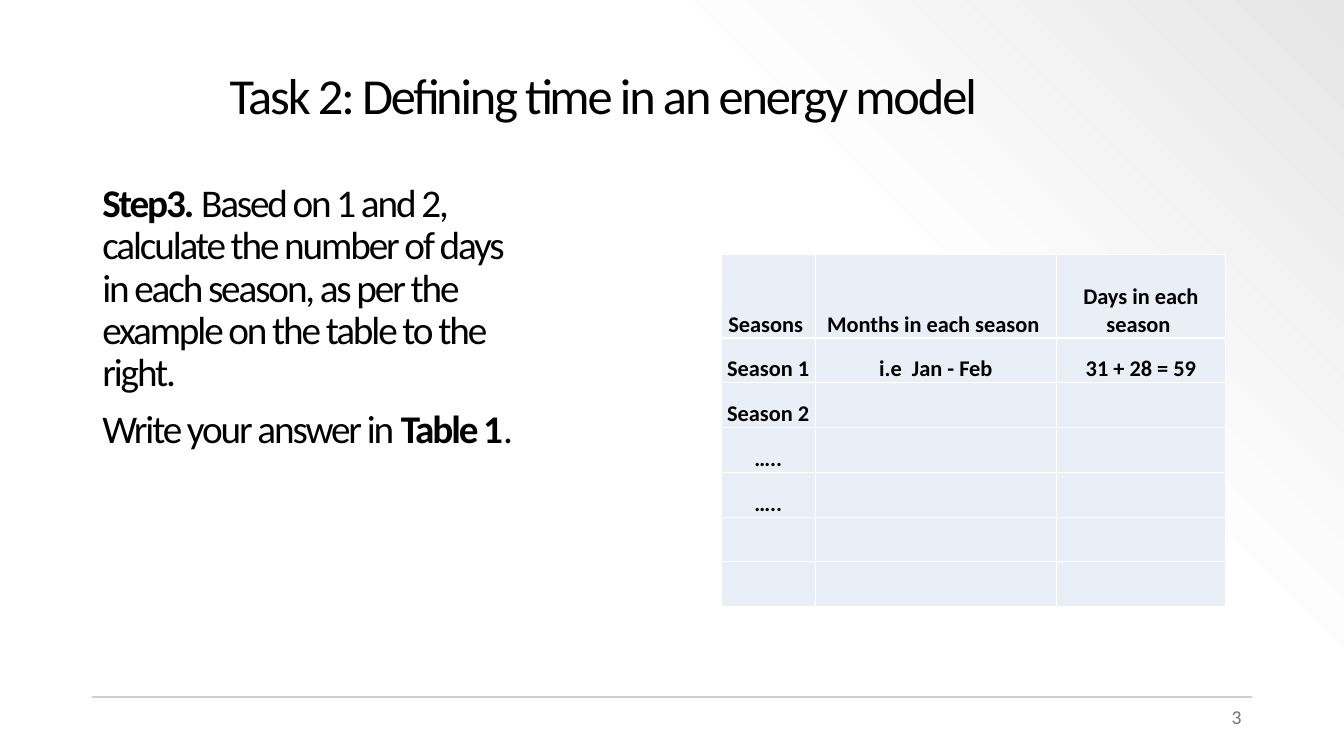
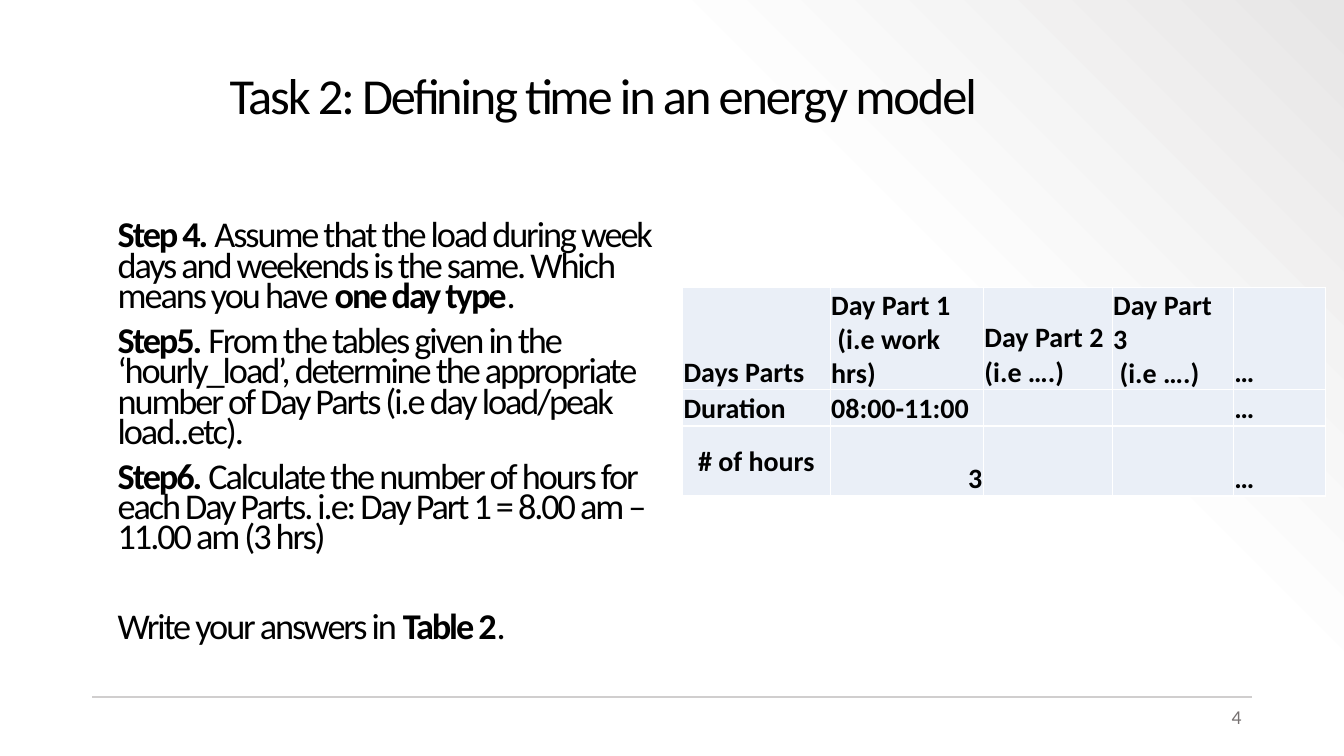
from lxml import etree
from pptx import Presentation
from pptx.dml.color import RGBColor
from pptx.enum import shapes, text
from pptx.oxml import parse_xml
from pptx.oxml.ns import nsdecls, qn
from pptx.util import Pt

FONT = "Calibri"
BLACK, GREY, RULE = "000000", "767171", "D0CECE"
WHITE, CELL = "FFFFFF", "EAEFF7"
LEFT, CENTER, RIGHT = text.PP_ALIGN.LEFT, text.PP_ALIGN.CENTER, text.PP_ALIGN.RIGHT
BOTTOM, MIDDLE = text.MSO_ANCHOR.BOTTOM, text.MSO_ANCHOR.MIDDLE


def rgb(value):
    return RGBColor.from_string(value)


def write(p, content, size, color=BLACK, bold=False, spacing=0, align=LEFT,
          line=None, before=0):
    """Fill a paragraph; parts between ** are bold."""
    p.alignment = align
    p.space_before = Pt(before)
    if line:
        p.line_spacing = line
    for i, part in enumerate(content.split("**")):
        if not part:
            continue
        r = p.add_run()
        r.text = part
        r.font.name, r.font.size = FONT, Pt(size)
        r.font.bold = bold or i % 2 == 1
        r.font.color.rgb = rgb(color)
        if spacing:
            r.font._element.set("spc", str(int(spacing * 100)))


class Deck:
    def __init__(self):
        self.prs = Presentation()
        self.prs.slide_width, self.prs.slide_height = Pt(960), Pt(540)
        self.s = None
        self.background()

    def background(self):
        # Shared gradient, brightest at the bottom left
        fill = self.prs.slide_master.background.fill
        fill.gradient()
        fill.gradient_angle = 45
        stops = fill._fill._gradFill.find(qn("a:gsLst"))
        for gs in list(stops):
            stops.remove(gs)
        for pos, color, alpha in ((0, WHITE, 100), (69, "FDFDFD", 100), (100, "E7E6E6", 50)):
            stops.append(parse_xml(
                f'<a:gs {nsdecls("a")} pos="{pos * 1000}"><a:srgbClr val="{color}">'
                f'<a:alpha val="{alpha * 1000}"/></a:srgbClr></a:gs>'))

    def slide(self, title, number):
        self.s = self.prs.slides.add_slide(self.prs.slide_layouts[6])
        self.rule(66, 894, 498)
        p = self.box(678, 500, 216, 29).paragraphs[0]
        write(p, str(number), 14, GREY, align=RIGHT)
        tf = self.box(157, 39, 628, 62.5)
        tf.vertical_anchor = MIDDLE
        write(tf.paragraphs[0], title, 36, spacing=-1.5, line=0.9)

    def rule(self, x1, x2, y):
        sp = self.s.shapes.add_connector(
            shapes.MSO_CONNECTOR.STRAIGHT, Pt(x1), Pt(y), Pt(x2), Pt(y))
        sp.line.color.rgb, sp.line.width = rgb(RULE), Pt(1.5)
        etree.SubElement(sp._element.spPr, qn("a:effectLst"))

    def box(self, x, y, w, h):
        tf = self.s.shapes.add_textbox(Pt(x), Pt(y), Pt(w), Pt(h)).text_frame
        tf.word_wrap = True
        return tf

    def body(self, x, y, w, h, steps, size, line, last_gap=10):
        tf = self.box(x, y, w, h)
        for i, step in enumerate(steps):
            p = tf.add_paragraph() if i else tf.paragraphs[0]
            gap = last_gap if i == len(steps) - 1 else 10
            write(p, step, size, spacing=-1.5, line=line, before=gap if i else 0)

    def table(self, x, y, widths, heights, rows, size, align=LEFT, special=None):
        """special maps (row, column) to an (alignment, anchor) pair."""
        frame = self.s.shapes.add_table(len(heights), len(widths), Pt(x), Pt(y),
                                        Pt(sum(widths)), Pt(sum(heights)))
        tbl = frame.table
        tbl.first_row = tbl.horz_banding = False
        for column, w in zip(tbl.columns, widths):
            column.width = Pt(w)
        for i, h in enumerate(heights):
            tbl.rows[i].height = Pt(h)
            for j in range(len(widths)):
                content = rows[i][j] if i < len(rows) and j < len(rows[i]) else ""
                look = (special or {}).get((i, j), (align, BOTTOM))
                self.cell(tbl.cell(i, j), content, size, *look)

    def cell(self, cell, content, size, align, anchor):
        tcPr = cell._tc.get_or_add_tcPr()
        for side in ("lnL", "lnR", "lnT", "lnB"):
            tcPr.append(parse_xml(
                f'<a:{side} {nsdecls("a")} w="{Pt(1)}"><a:solidFill>'
                f'<a:srgbClr val="{WHITE}"/></a:solidFill></a:{side}>'))
        cell.fill.solid()
        cell.fill.fore_color.rgb = rgb(CELL)
        cell.margin_left = cell.margin_right = cell.margin_top = Pt(0.75)
        cell.margin_bottom = 0
        cell.vertical_anchor = anchor
        tf = cell.text_frame
        for i, row in enumerate(content.split("\n") if content else []):
            p = tf.add_paragraph() if i else tf.paragraphs[0]
            write(p, row, size, bold=True, align=align)


def main():
    deck = Deck()
    title = "Task 2: Defining time in an energy model"

    # Days in each season
    deck.slide(title, 3)
    deck.table(515, 181.5, [67.5, 172, 121], [60] + [32] * 6, [
        ["Seasons ", "Months in each season ", "Days in each season "],
        ["Season 1", "i.e  Jan - Feb", "31 + 28 = 59"],
        ["Season 2"],
        ["….."],
        ["….."],
    ], 16, CENTER)
    deck.body(66, 127.5, 318, 358.5, [
        "**Step3.** Based on 1 and 2, calculate the number of days in each season, "
        "as per the example on the table to the right.",
        "Write your answer in **Table 1**.",
    ], 28, 0.9)

    # Hours in each day part
    deck.slide(title, 4)
    deck.body(77, 156, 425, 338.5, [
        "**Step 4. **Assume that the load during week days and weekends is the same. "
        "Which means you have **one day type**.",
        "**Step5. **From the tables given in the ‘hourly_load’, determine the "
        "appropriate number of Day Parts (i.e day load/peak load..etc).",
        "**Step6.** Calculate the number of hours for each Day Parts. "
        "i.e: Day Part 1 = 8.00 am – 11.00 am (3 hrs)",
        "Write your answers in **Table 2**.",
    ], 25.9, 0.7, last_gap=42)
    deck.table(487.5, 205.5, [105.5, 109.5, 92, 86.5, 66], [51, 26, 50], [
        ["Days Parts", "Day Part 1\n (i.e work hrs)", "Day Part 2\n(i.e ….)",
         "Day Part 3\n (i.e ….)", "…"],
        ["Duration", "08:00-11:00", "", "", "…"],
        ["# of hours", "3", "", "", "…"],
    ], 20, special={(2, 0): (CENTER, MIDDLE), (2, 1): (RIGHT, BOTTOM)})

    deck.prs.save("out.pptx")


if __name__ == "__main__":
    main()
